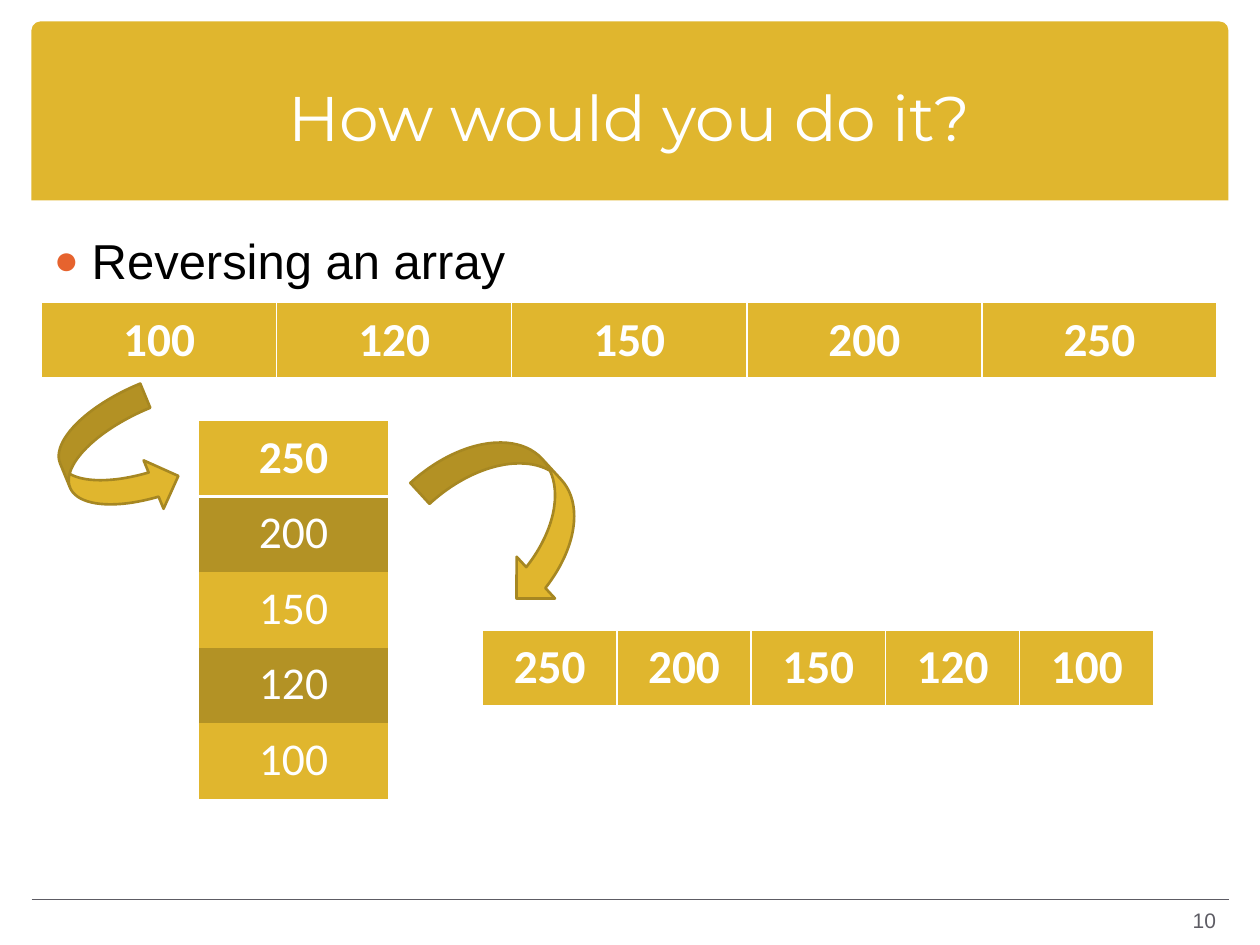
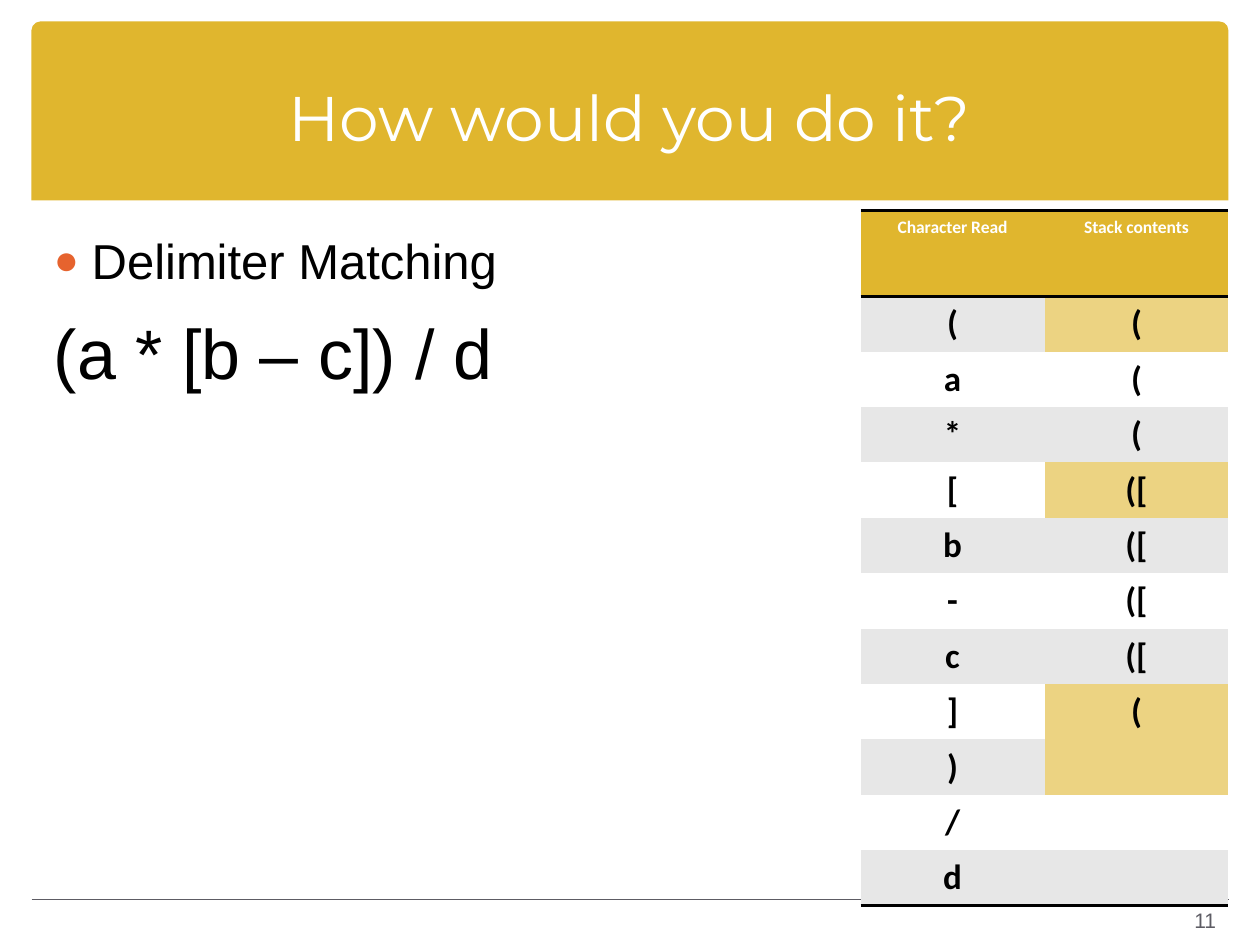
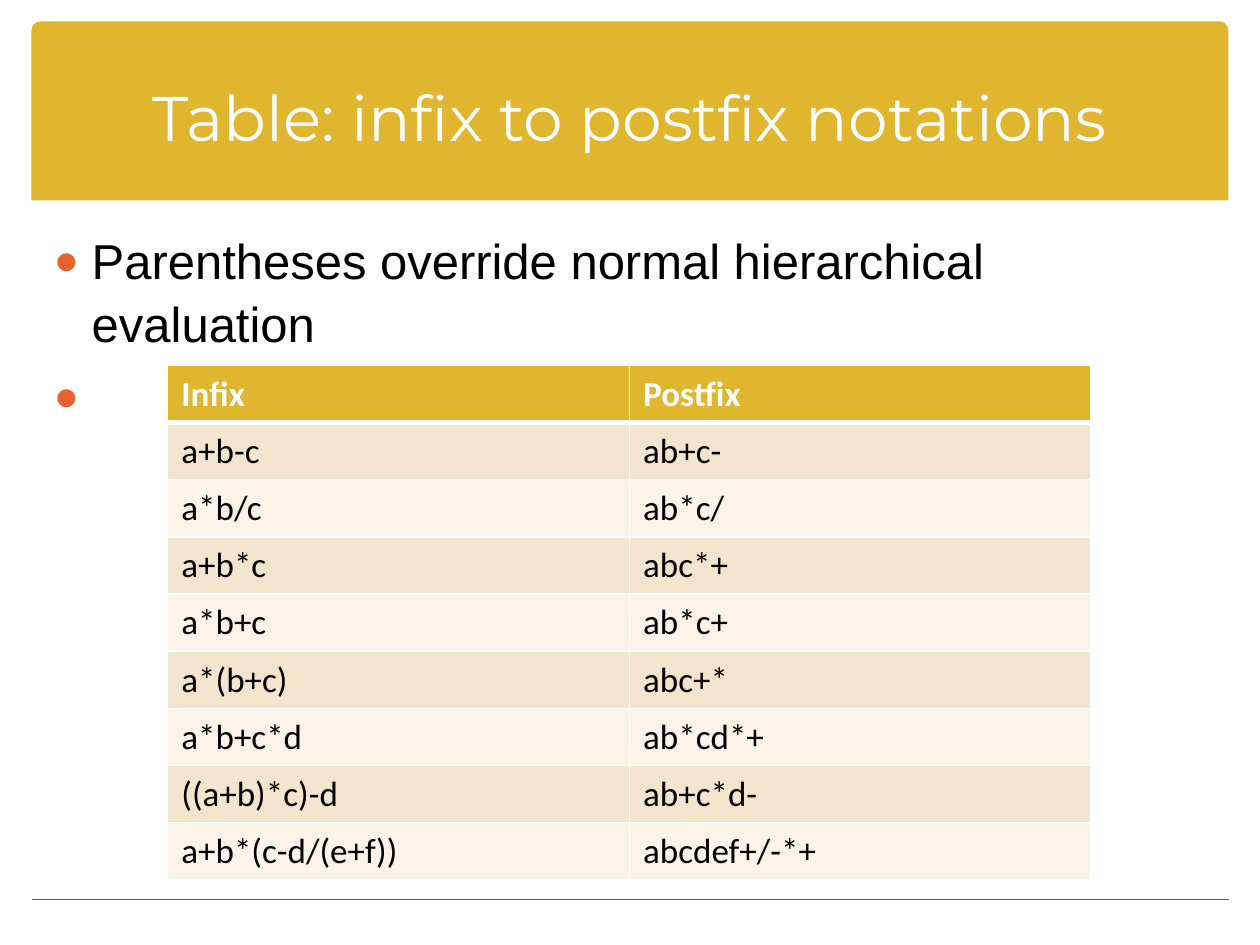
from lxml.etree import SubElement as Sub
from pptx import Presentation
from pptx.dml.color import RGBColor as RGB
from pptx.enum.shapes import MSO_CONNECTOR as Connector, MSO_SHAPE as Shape
from pptx.enum.text import MSO_ANCHOR as Anchor, PP_ALIGN as Align
from pptx.oxml.ns import qn
from pptx.util import Inches, Pt

COLORS = {
    "gold": "E0B62E", "dark gold": "B39225", "outline": "A68722",
    "pale gold": "ECD382", "orange": "E6632E", "gray": "5D5C64",
    "band": "E7E7E7", "cream": "F3E5CD", "light cream": "F9F3E8",
    "white": "FFFFFF", "black": "000000",
}
NO_GRID = "{2D5ABB26-0587-4C30-8999-92F81FD0307C}"
TITLE = {"name": "Montserrat", "size": Pt(36)}
PAGE = {"name": "Arial", "size": Pt(12)}
WIDE_CELL = {"margin_left": Inches(0.15), "margin_right": Inches(0.15),
             "margin_top": Inches(0.07), "margin_bottom": Inches(0.07)}
NOTATION_CELL = {"margin_left": Inches(0.11), "margin_right": Inches(0.11),
                 "margin_top": Inches(0.06), "margin_bottom": Inches(0.06)}
ARRAY_BORDERS = {"L": ("white", 1), "R": ("white", 1),
                 "T": ("white", 1), "B": ("white", 3)}
ROW_BORDERS = {"L": ("white", 1), "R": ("white", 1), "B": ("white", 1)}

NUMBERS = [100, 120, 150, 200, 250]
MATCHING = [
    ("Character Read", "Stack contents"), ("(", "("), ("a", "("), ("*", "("),
    ("[", "(["), ("b", "(["), ("-", "(["), ("c", "(["), ("]", "("),
    (")", ""), ("/", ""), ("d", ""),
]
STACK_CHANGES = (1, 4, 8, 9)
NOTATIONS = [
    ("Infix", "Postfix"), ("a+b-c", "ab+c-"), ("a*b/c", "ab*c/"),
    ("a+b*c", "abc*+"), ("a*b+c", "ab*c+"), ("a*(b+c)", "abc+*"),
    ("a*b+c*d", "ab*cd*+"), ("((a+b)*c)-d", "ab+c*d-"),
    ("a+b*(c-d/(e+f))", "abcdef+/-*+"),
]


def rgb(color):
    return RGB.from_string(COLORS[color])


def apply(target, values):
    for attribute, value in values.items():
        setattr(target, attribute, value)


def inches(*lengths):
    return [Inches(length) for length in lengths]


def write(paragraph, text, color, font, align=Align.LEFT):
    paragraph.alignment = align
    if text:
        run = paragraph.add_run()
        run.text = text
        apply(run.font, font)
        run.font.color.rgb = rgb(color)


def add_frame(slide, box, anchor=Anchor.TOP):
    frame = slide.shapes.add_textbox(*inches(*box)).text_frame
    apply(frame, {"word_wrap": True, "vertical_anchor": anchor})
    return frame


def add_preset(slide, kind, box, line=None, rotation=0):
    preset = slide.shapes.add_shape(kind, *inches(*box))
    apply(preset, {"rotation": rotation})
    preset.shadow.inherit = False
    preset.fill.solid()
    preset.fill.fore_color.rgb = rgb("gold")
    if line:
        preset.line.color.rgb = rgb(line)
        preset.line.width = Pt(1.5)
    else:
        preset.line.fill.background()
    return preset


# Title band, footer rule and page number
def start_slide(deck, title, page=None):
    slide = deck.slides.add_slide(deck.slide_layouts[6])
    band = add_preset(slide, Shape.ROUND_2_SAME_RECTANGLE, (0.25, 0.17, 9.5, 1.42))
    band.adjustments[0], band.adjustments[1] = 0.05, 0

    rule = slide.shapes.add_connector(Connector.STRAIGHT,
                                      *inches(0.25, 7.14, 9.75, 7.14))
    rule.line.color.rgb = rgb("gray")
    rule.line.width = Pt(1)
    Sub(rule.line._get_or_add_ln().getparent(), qn("a:effectLst"))

    heading = add_frame(slide, (0.33, 0.3, 9.33, 1.25), Anchor.MIDDLE)
    write(heading.paragraphs[0], title, "white", TITLE, Align.CENTER)
    if page:
        number = add_frame(slide, (7.42, 7.13, 2.33, 0.35), Anchor.MIDDLE)
        write(number.paragraphs[0], str(page), "gray", PAGE, Align.RIGHT)
    return slide


# Body text as (text, size, has a bullet)
def add_body(slide, *points):
    frame = add_frame(slide, (0.33, 1.75, 9.33, 5.25))
    for index, (text, size, bulleted) in enumerate(points):
        paragraph = frame.add_paragraph() if index else frame.paragraphs[0]
        props = paragraph._p.get_or_add_pPr()
        props.set("marL", str(Inches(0.3)))
        props.set("indent", str(Inches(-0.3)))
        if bulleted:
            tint = Sub(props, qn("a:buClr"))
            Sub(tint, qn("a:srgbClr"), val=COLORS["orange"])
            Sub(props, qn("a:buSzPct"), val="85000")
            Sub(props, qn("a:buFont"), typeface="Arial")
            Sub(props, qn("a:buChar"), char="●")
        else:
            Sub(props, qn("a:buNone"))
        paragraph.line_spacing = 1.07
        if index:
            paragraph.space_before = Pt(size * 0.2)
        write(paragraph, text, "black", {"name": "Arial", "size": Pt(size)})


def set_borders(cell, borders):
    props = cell._tc.get_or_add_tcPr()
    for side in "LRTB":
        if side in borders:
            color, width = borders[side]
            edge = Sub(props, qn(f"a:ln{side}"), w=str(Pt(width)))
            Sub(Sub(edge, qn("a:solidFill")), qn("a:srgbClr"), val=COLORS[color])


# look(row, column) gives fill, text colour, size, bold and borders
def add_grid(slide, box, heights, rows, look, margins, align=Align.CENTER):
    frame = slide.shapes.add_table(len(rows), len(rows[0]), *inches(*box))
    table = frame.table
    apply(table, {"first_row": False, "horz_banding": False})
    table._tbl.tblPr.find(qn("a:tableStyleId")).text = NO_GRID
    for row, height in zip(table.rows, heights):
        row.height = Inches(height)
    for r, row in enumerate(rows):
        for c, text in enumerate(row):
            fill, color, size, bold, borders = look(r, c)
            cell = table.cell(r, c)
            apply(cell, margins)
            set_borders(cell, borders)
            cell.fill.solid()
            cell.fill.fore_color.rgb = rgb(fill)
            font = {"name": "Calibri", "size": Pt(size), "bold": bold}
            write(cell.text_frame.paragraphs[0], str(text), color, font, align)


def array_look(row, column):
    return "gold", "white", 27, True, ARRAY_BORDERS


def stack_look(row, column):
    fill = "dark gold" if row % 2 else "gold"
    return fill, "white", 26, row == 0, {} if row else {"B": ("white", 2)}


def matching_look(row, column):
    if row == 0:
        return "gold", "white", 10, True, {"T": ("black", 2), "B": ("black", 2)}
    fill = "band" if row % 2 else "white"
    if column == 1 and row in STACK_CHANGES:
        fill = "pale gold"
    last = row == len(MATCHING) - 1
    return fill, "black", 20, True, {"B": ("black", 2)} if last else {}


def notation_look(row, column):
    if row == 0:
        return "gold", "white", 20, True, ARRAY_BORDERS
    fill = "cream" if row % 2 else "light cream"
    return fill, "black", 20, False, ROW_BORDERS


def add_reversing(deck):
    slide = start_slide(deck, "How would you do it?", 10)
    add_body(slide, ("Reversing an array", 28, True))
    backwards = NUMBERS[::-1]
    add_grid(slide, (0.33, 2.4, 9.33, 0.61), [0.61], [NUMBERS],
             array_look, WIDE_CELL)
    add_grid(slide, (1.58, 3.34, 1.5, 2.98), [0.6] * 5,
             [[number] for number in backwards], stack_look, WIDE_CELL)
    add_grid(slide, (3.83, 5, 5.33, 0.61), [0.61], [backwards],
             array_look, WIDE_CELL)
    add_preset(slide, Shape.CURVED_UP_ARROW, (0.42, 3.25, 1, 0.83),
               "outline", 67.6)
    add_preset(slide, Shape.CURVED_DOWN_ARROW, (3.35, 3.62, 1.47, 0.9),
               "outline", 47.4)


def add_matching(deck):
    slide = start_slide(deck, "How would you do it?", 11)
    add_body(slide, ("Delimiter Matching", 28, True),
             ("(a * [b – c]) / d", 40, False))
    add_grid(slide, (6.83, 1.67, 2.92, 5.47), [0.68] + [0.44] * 11,
             MATCHING, matching_look, {})


def add_notations(deck):
    slide = start_slide(deck, "Table: infix to postfix notations")
    add_body(slide,
             ("Parentheses override normal hierarchical evaluation", 28, True),
             ("\t", 28, True))
    add_grid(slide, (1.33, 2.9, 7.33, 4.01), [0.45] * 9, NOTATIONS,
             notation_look, NOTATION_CELL, Align.LEFT)


def main():
    deck = Presentation()
    apply(deck, {"slide_width": Inches(10), "slide_height": Inches(7.5)})
    add_reversing(deck)
    add_matching(deck)
    add_notations(deck)
    deck.save("out.pptx")


if __name__ == "__main__":
    main()
